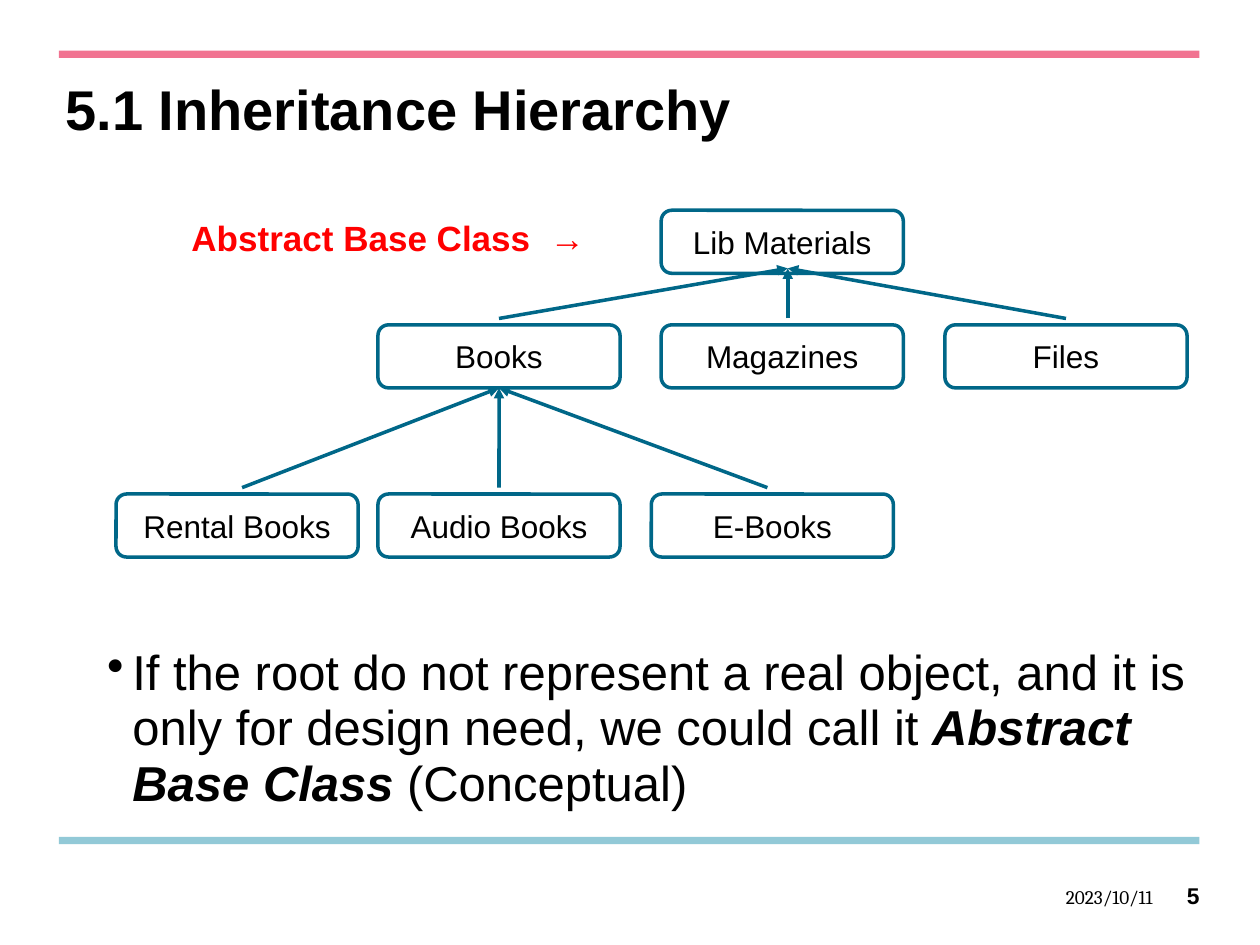
from collections import namedtuple

import pptx
import pptx.dml.color
import pptx.enum.shapes
import pptx.enum.text
import pptx.oxml
import pptx.oxml.ns
import pptx.util

Cm, Pt = pptx.util.Cm, pptx.util.Pt
SHAPES = pptx.enum.shapes.MSO_SHAPE
ALIGN = pptx.enum.text.PP_ALIGN
ANCHOR = pptx.enum.text.MSO_ANCHOR

# All boxes are in centimetres
Box = namedtuple("Box", "left top width height")


class Theme:
    pink, blue, teal = "F17391", "92C9D7", "006788"
    black, white, red = "000000", "FFFFFF", "FF0000"
    font, date_font = "Arial", "Cambria"
    title, body, label, node, number, date = 32, 28, 20, 18, 13, 11
    line = 2


def rgb(value):
    return pptx.dml.color.RGBColor.from_string(value)


def lengths(box):
    return [Cm(value) for value in box]


def inside(box, left, top, width, height):
    return Box(box.left + left, box.top + top, width, height)


def add_span(para, text, size, color=Theme.black, font=Theme.font, bold=False, italic=False):
    span = para.add_run()
    span.text = text
    span.font.size, span.font.name = Pt(size), font
    span.font.bold, span.font.italic = bold, italic
    span.font.color.rgb = rgb(color)


def set_frame(shape, insets=(0.25, 0.13, 0.25, 0.13), anchor=ANCHOR.TOP, wrap=True, align=ALIGN.LEFT):
    frame = shape.text_frame
    frame.margin_left, frame.margin_top, frame.margin_right, frame.margin_bottom = lengths(insets)
    frame.vertical_anchor, frame.word_wrap = anchor, wrap
    para = frame.paragraphs[0]
    para.alignment = align
    return para


def add_shape(page, kind, box, fill, line=None):
    shape = page.shapes.add_shape(kind, *lengths(box))
    shape.shadow.inherit = False
    shape.fill.solid()
    shape.fill.fore_color.rgb = rgb(fill)
    if line:
        shape.line.color.rgb = rgb(line)
        shape.line.width = Pt(Theme.line)
    else:
        shape.line.fill.background()
    return shape


def add_node(page, box, text):
    node = add_shape(page, SHAPES.ROUNDED_RECTANGLE, box, Theme.white, Theme.teal)
    para = set_frame(node, anchor=ANCHOR.MIDDLE, wrap=False, align=ALIGN.CENTER)
    add_span(para, text, Theme.node)
    return node


def add_arrow(page, start, end):
    points = lengths(start + end)
    arrow = page.shapes.add_connector(pptx.enum.shapes.MSO_CONNECTOR.STRAIGHT, *points)
    arrow.line.color.rgb = rgb(Theme.teal)
    arrow.line.width = Pt(Theme.line)
    head = pptx.oxml.parse_xml(f'<a:tailEnd {pptx.oxml.ns.nsdecls("a")} type="triangle"/>')
    arrow.line._get_or_add_ln().append(head)
    effects = pptx.oxml.parse_xml(f'<a:effectLst {pptx.oxml.ns.nsdecls("a")}/>')
    arrow._element.spPr.append(effects)
    return arrow


def add_rules(page, box):
    thickness = 0.15
    for top, color in ((0, Theme.pink), (box.height - thickness, Theme.blue)):
        add_shape(page, SHAPES.RECTANGLE, inside(box, 0, top, box.width, thickness), color)


def add_title(page, box):
    para = set_frame(page.shapes.add_textbox(*lengths(box)))
    para.line_spacing = Pt(34)
    add_span(para, "5.1 Inheritance Hierarchy", Theme.title, bold=True)


def add_hierarchy(page, box):
    width, height, gap = 4.88, 1.27, 0.13
    root_top, kinds_top, books_top = 0, 2.31, 5.72

    # Classes, one row for each level
    levels = (
        (root_top, {"Lib Materials": 10.99}),
        (kinds_top, {"Books": 5.28, "Magazines": 10.99, "Files": 16.71}),
        (books_top, {"Rental Books": 0, "Audio Books": 5.28, "E-Books": 10.79}),
    )
    nodes = {}
    for top, row in levels:
        for name, left in row.items():
            nodes[name] = add_node(page, inside(box, left, top, width, height), name)

    # Label beside the root
    label = add_shape(page, SHAPES.RECTANGLE, inside(box, 1.27, 0, 9.32, 1.12), Theme.white)
    para = set_frame(label)
    add_span(para, "Abstract Base Class", Theme.label, Theme.red, bold=True)
    add_span(para, "  →", Theme.label, Theme.red)

    # Arrows from each class up to its base
    branches = (
        (books_top, (2.54, 7.72, 13.13), (7.72, kinds_top + height), nodes["Books"]),
        (kinds_top, (7.72, 13.54, 19.15), (13.54, 1.17), None),
    )
    for top, starts, (end_x, end_y), base in branches:
        for start_x in starts:
            arrow = add_arrow(page, (box.left + start_x, box.top + top - gap),
                              (box.left + end_x, box.top + end_y))
            if base is not None:
                arrow.end_connect(base, 2)


def add_body(page, box):
    para = set_frame(page.shapes.add_textbox(*lengths(box)))
    para.line_spacing = 0.94
    props = para._p.get_or_add_pPr()
    props.set("marL", str(Cm(0.51)))
    props.set("indent", str(-Cm(0.51)))
    props.append(pptx.oxml.parse_xml(f'<a:buChar {pptx.oxml.ns.nsdecls("a")} char="•"/>'))
    add_span(para, "If the root do not represent a real object, and it is only for "
                   "design need, we could call it ", Theme.body)
    add_span(para, "Abstract Base Class", Theme.body, bold=True, italic=True)
    add_span(para, " (Conceptual)", Theme.body)


def add_footer(page, box):
    date = page.shapes.add_textbox(*lengths(inside(box, 0, 0, 2.44, box.height)))
    para = set_frame(date, (0, 0, 0, 0), ANCHOR.MIDDLE, align=ALIGN.RIGHT)
    add_span(para, "2023/10/11", Theme.date, font=Theme.date_font)
    number = page.shapes.add_textbox(*lengths(inside(box, box.width - 1, 0, 1, box.height)))
    para = set_frame(number, (0, 0.05, 0, 0), align=ALIGN.RIGHT)
    add_span(para, "5", Theme.number, bold=True)


def main():
    deck = pptx.Presentation()
    deck.slide_width, deck.slide_height = Cm(25.4), Cm(19.05)
    page = deck.slides.add_slide(deck.slide_layouts[6])
    add_rules(page, Box(1.19, 1.02, 22.99, 16))
    add_title(page, Box(1.07, 1.52, 22.2, 2.79))
    add_body(page, Box(1.91, 12.9, 22.43, 3.94))
    add_hierarchy(page, Box(2.34, 4.24, 21.59, 6.99))
    add_footer(page, Box(20.8, 17.73, 3.38, 0.69))
    deck.save("out.pptx")


if __name__ == "__main__":
    main()
